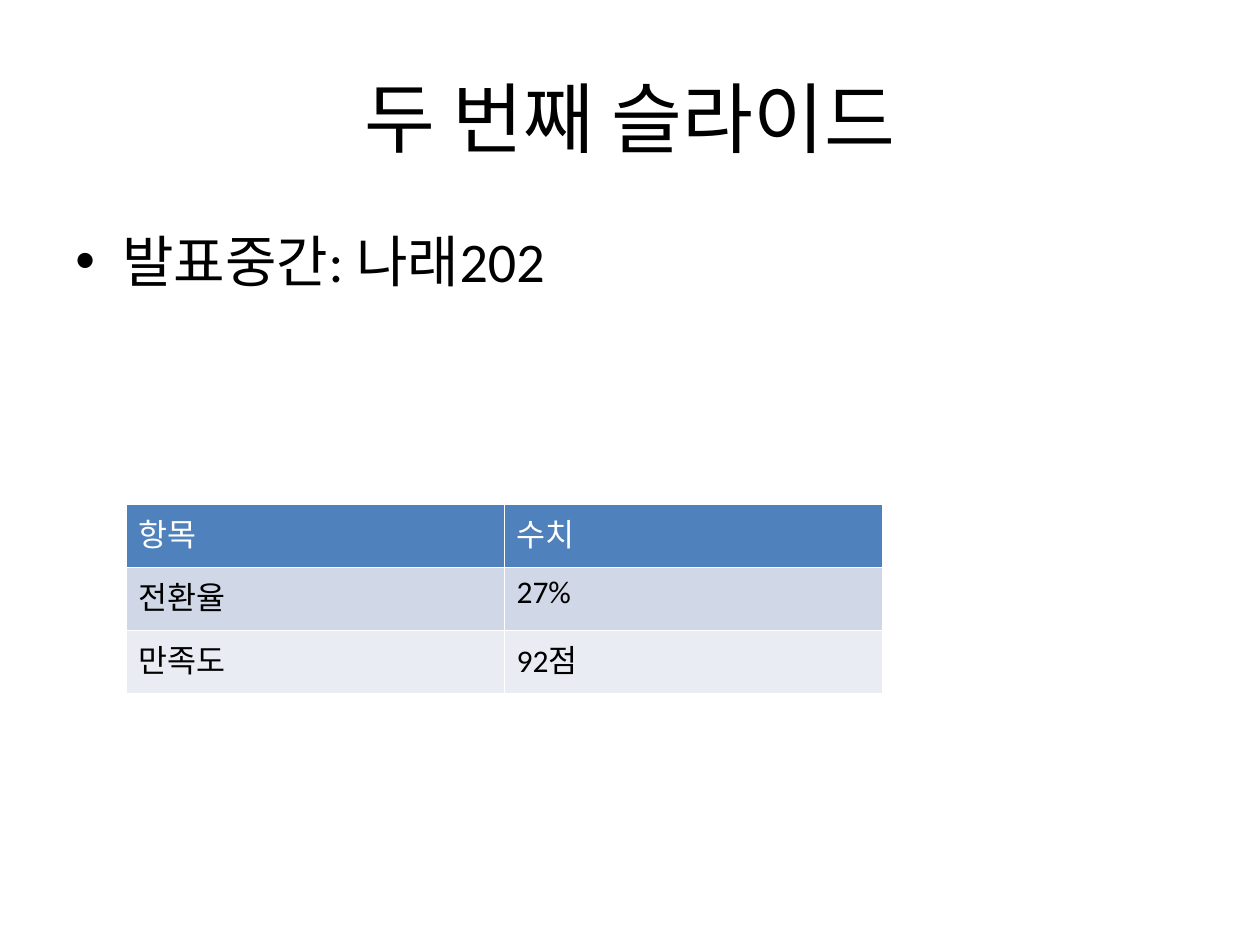
from lxml import etree
from pptx import Presentation
from pptx.dml.color import RGBColor
from pptx.enum.text import MSO_ANCHOR, PP_ALIGN
from pptx.oxml.ns import qn
from pptx.util import Emu, Pt

CENTER, LEFT = PP_ALIGN.CENTER, PP_ALIGN.LEFT
MIDDLE, TOP = MSO_ANCHOR.MIDDLE, MSO_ANCHOR.TOP

# Content
TITLE = "두 번째 슬라이드"
BULLET = "발표중간: 나래202"
ROWS = [("항목", "수치"), ("전환율", "27%"), ("만족도", "92점")]
ROW_STYLES = [("4F81BD", "FFFFFF"), ("D0D8E7", "000000"), ("E9ECF3", "000000")]

# Layout in px, 126 to the inch
SLIDE = (1260, 945)
TITLE_BOX = (63, 38, 1134, 157)
BODY_BOX = (63, 220, 1134, 624)
TABLE_AT, COL_W, ROW_H = (126, 504), 378, 63
BULLET_INDENT = 47


def px(n):
    return Emu(round(n * 914400 / 126))


def rgb(color):
    return RGBColor.from_string(color)


def write(tf, text, size, color, align=LEFT, spacing=None):
    p = tf.paragraphs[0]
    p.alignment, p.line_spacing = align, spacing
    r = p.add_run()
    r.text = text
    for name, value in {"size": Pt(size), "name": "Calibri"}.items():
        setattr(r.font, name, value)
    r.font.color.rgb = rgb(color)
    return p


def add_text(s, box, anchor, *args):
    tf = s.shapes.add_textbox(*map(px, box)).text_frame
    tf.word_wrap, tf.vertical_anchor = True, anchor
    return write(tf, *args)


def add_bullet(p):
    pPr = p._p.get_or_add_pPr()
    pPr.set("marL", str(px(BULLET_INDENT)))
    pPr.set("indent", str(-px(BULLET_INDENT)))
    etree.SubElement(pPr, qn("a:buFont"), typeface="Arial")
    etree.SubElement(pPr, qn("a:buChar"), char="•")


def add_borders(cell, color, width):
    tcPr = cell._tc.get_or_add_tcPr()
    for i, side in enumerate(("lnL", "lnR", "lnT", "lnB")):
        ln = etree.Element(qn("a:" + side), w=str(Pt(width)))
        fill = etree.SubElement(ln, qn("a:solidFill"))
        etree.SubElement(fill, qn("a:srgbClr"), val=color)
        tcPr.insert(i, ln)


prs = Presentation()
prs.slide_width, prs.slide_height = map(px, SLIDE)
s = prs.slides.add_slide(prs.slide_layouts[6])

# Title and bullet
add_text(s, TITLE_BOX, MIDDLE, TITLE, 44, "000000", CENTER)
add_bullet(add_text(s, BODY_BOX, TOP, BULLET, 32, "000000"))

# Table
size = (COL_W * len(ROWS[0]), ROW_H * len(ROWS))
table = s.shapes.add_table(len(ROWS), len(ROWS[0]), *map(px, TABLE_AT + size)).table
for i, (row, (fill, color)) in enumerate(zip(ROWS, ROW_STYLES)):
    for j, text in enumerate(row):
        cell = table.cell(i, j)
        cell.fill.solid()
        cell.fill.fore_color.rgb = rgb(fill)
        add_borders(cell, "FFFFFF", 0.45)
        write(cell.text_frame, text, 18, color, spacing=0.98)

prs.save("out.pptx")
